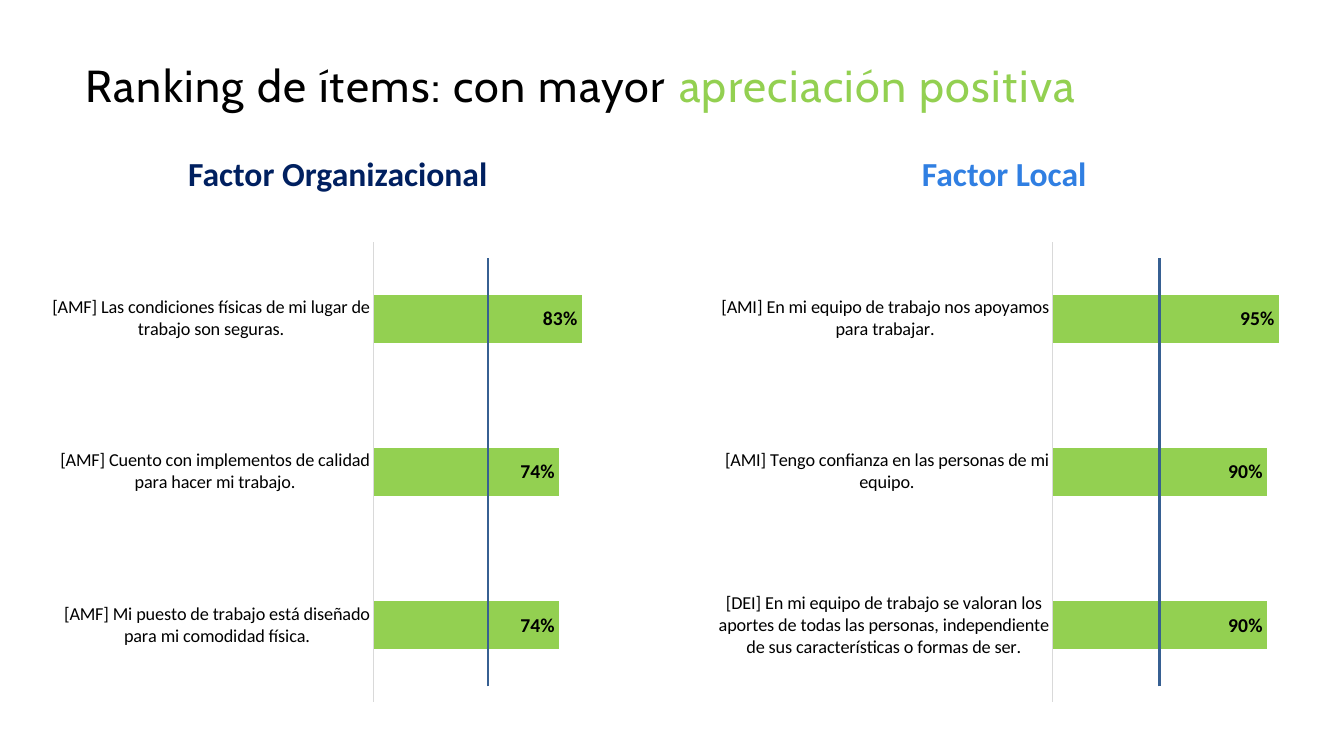
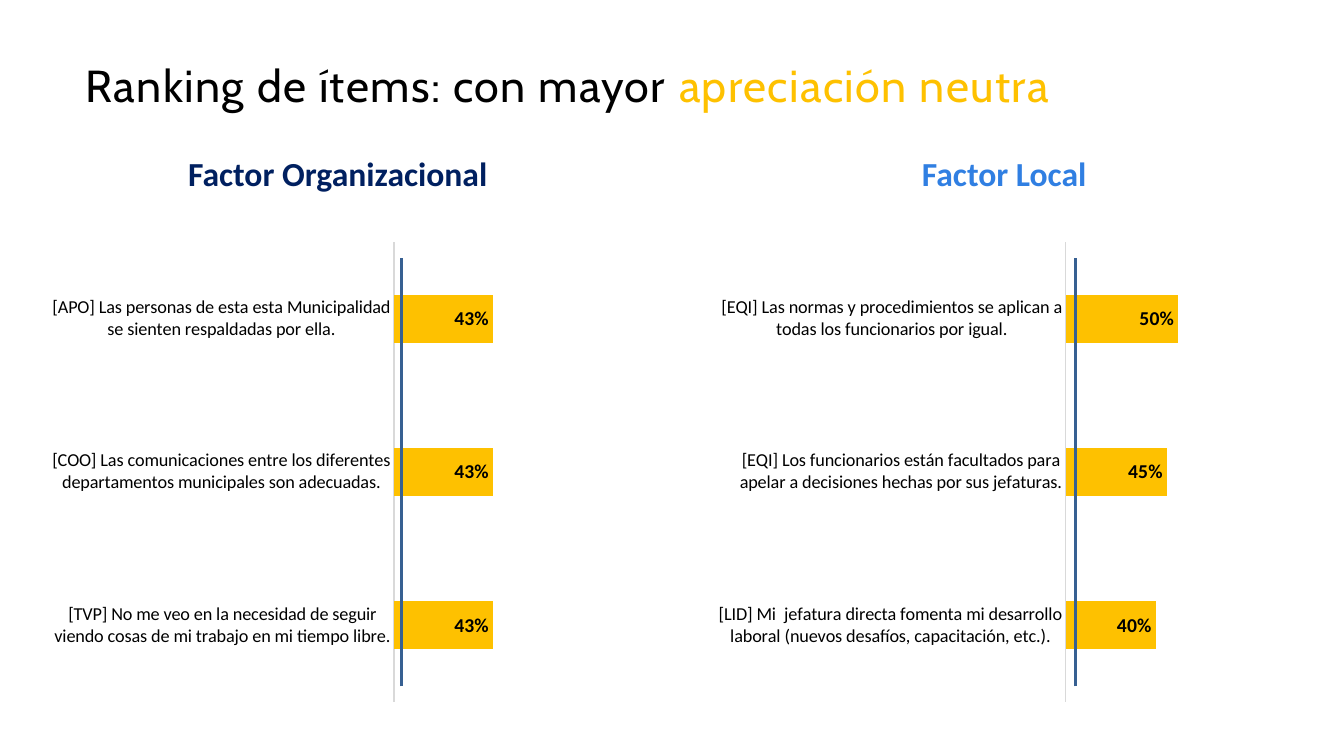
from dataclasses import dataclass

from lxml.etree import SubElement
from pptx import Presentation
from pptx.chart.data import CategoryChartData
from pptx.dml.color import RGBColor
from pptx.enum.chart import XL_CHART_TYPE, XL_LABEL_POSITION, XL_TICK_MARK
from pptx.enum.shapes import MSO_CONNECTOR
from pptx.enum.text import MSO_ANCHOR, MSO_AUTO_SIZE, PP_ALIGN
from pptx.oxml.ns import qn
from pptx.util import Inches, Pt

# Shared style
BLACK = RGBColor(0x00, 0x00, 0x00)
WHITE = RGBColor(0xFF, 0xFF, 0xFF)
NAVY = RGBColor(0x00, 0x20, 0x60)
BLUE = RGBColor(0x30, 0x7F, 0xE2)
STEEL = RGBColor(0x37, 0x60, 0x92)
AXIS_GREY = RGBColor(0xD9, 0xD9, 0xD9)
GREEN = RGBColor(0x93, 0xD0, 0x51)
AMBER = RGBColor(0xFE, 0xC1, 0x00)
TITLE_FONT, BODY_FONT = "Cabin", "Calibri"

# Shared geometry, in inches
SLIDE_WIDTH, SLIDE_HEIGHT = 13.33, 7.5
PANEL_LEFTS = (0.4, 7.01)
PANEL_TOP, PANEL_WIDTH = 1.58, 5.91
HEADING_INDENT, HEADING_WIDTH, HEADING_HEIGHT = 0.43, 5.04, 0.33
CHART_DROP, CHART_HEIGHT = 0.73, 4.75
MARKER_INSET = 0.25
PANEL_HEADINGS = (("Factor Organizacional", NAVY), ("Factor Local", BLUE))


@dataclass
class Ranking:
    """Items from bottom to top, and the marker's distance from the chart's left."""
    items: dict
    marker: float


def style_font(font, name, size, color, bold=False):
    font.name, font.size, font.bold = name, Pt(size), bold
    font.color.rgb = color


def add_title(page, lead, accent, color):
    title = page.shapes.title
    title.left, title.top = Inches(0.85), Inches(0.34)
    title.width, title.height = Inches(11.78), Inches(1.06)
    frame = title.text_frame
    frame.auto_size = MSO_AUTO_SIZE.NONE
    frame.vertical_anchor = MSO_ANCHOR.MIDDLE
    frame.margin_left = frame.margin_right = 0
    frame.margin_top = frame.margin_bottom = 0
    para = frame.paragraphs[0]
    para.alignment, para.line_spacing = PP_ALIGN.LEFT, 0.9
    for text, span_color in ((lead, BLACK), (accent, color)):
        span = para.add_run()
        span.text = text
        style_font(span.font, TITLE_FONT, 32, span_color)
        span.font._element.set("spc", "100")  # 1 pt letter spacing


def add_heading(page, left, top, text, color):
    box = page.shapes.add_textbox(Inches(left), Inches(top),
                                  Inches(HEADING_WIDTH), Inches(HEADING_HEIGHT))
    frame = box.text_frame
    frame.word_wrap = True
    frame.vertical_anchor = MSO_ANCHOR.MIDDLE
    para = frame.paragraphs[0]
    para.text = text
    para.alignment, para.line_spacing = PP_ALIGN.CENTER, 0.9
    style_font(para.font, BODY_FONT, 24, color, bold=True)


def add_bar_chart(page, left, top, items, color):
    data = CategoryChartData(number_format="0%")
    data.categories = list(items)
    data.add_series("Series 1", list(items.values()))
    chart = page.shapes.add_chart(
        XL_CHART_TYPE.BAR_CLUSTERED, Inches(left), Inches(top),
        Inches(PANEL_WIDTH), Inches(CHART_HEIGHT), data).chart
    chart.has_legend = chart.has_title = False
    style_font(chart.font, BODY_FONT, 10, WHITE)

    # Axes
    category_axis, value_axis = chart.category_axis, chart.value_axis
    category_axis.major_tick_mark = category_axis.minor_tick_mark = XL_TICK_MARK.NONE
    category_axis.has_major_gridlines = False
    category_axis.format.line.color.rgb = AXIS_GREY
    category_axis.format.line.width = Pt(0.75)
    style_font(category_axis.tick_labels.font, BODY_FONT, 13, BLACK)
    value_axis.minimum_scale, value_axis.maximum_scale = 0, 1
    value_axis.has_major_gridlines = False
    value_axis.visible = False

    # Bars and their labels
    plot = chart.plots[0]
    plot.gap_width, plot.vary_by_categories = 219, False
    series = plot.series[0]
    series.format.fill.solid()
    series.format.fill.fore_color.rgb = color
    labels = series.data_labels
    labels.show_value = True
    labels.position = XL_LABEL_POSITION.INSIDE_END
    labels.number_format, labels.number_format_is_linked = "0%", False
    style_font(labels.font, BODY_FONT, 14, BLACK, bold=True)


def add_marker(page, x, top, bottom):
    marker = page.shapes.add_connector(MSO_CONNECTOR.STRAIGHT, Inches(x),
                                       Inches(bottom), Inches(x), Inches(top))
    marker.line.color.rgb = STEEL
    marker.line.width = Pt(2)
    SubElement(marker._element.spPr, qn("a:effectLst"))


def add_panel(page, left, top, heading, ranking, color):
    """One factor: heading, bar chart and vertical reference line."""
    add_heading(page, left + HEADING_INDENT, top, *heading)
    chart_top = top + CHART_DROP
    add_bar_chart(page, left, chart_top, ranking.items, color)
    add_marker(page, left + ranking.marker, chart_top + MARKER_INSET,
               chart_top + CHART_HEIGHT - MARKER_INSET)


def add_ranking_slide(deck, accent, color, rankings):
    page = deck.slides.add_slide(deck.slide_layouts.get_by_name("Title Only"))
    add_title(page, "Ranking de ítems: con mayor ", accent, color)
    for left, heading, ranking in zip(PANEL_LEFTS, PANEL_HEADINGS, rankings):
        add_panel(page, left, PANEL_TOP, heading, ranking, color)


POSITIVE = (
    Ranking({
        "[AMF] Mi puesto de trabajo está diseñado para mi comodidad física.": 0.74,
        "[AMF] Cuento con implementos de calidad para hacer mi trabajo.": 0.74,
        "[AMF] Las condiciones físicas de mi lugar de trabajo son seguras.": 0.83,
    }, marker=4.44),
    Ranking({
        "[DEI] En mi equipo de trabajo se valoran los aportes de todas las personas, "
        "independiente de sus características o formas de ser.": 0.90,
        "[AMI] Tengo confianza en las personas de mi equipo.": 0.90,
        "[AMI] En mi equipo de trabajo nos apoyamos para trabajar.": 0.95,
    }, marker=4.49),
)

NEUTRAL = (
    Ranking({
        "[TVP] No me veo en la necesidad de seguir viendo cosas de mi trabajo "
        "en mi tiempo libre.": 0.43,
        "[COO] Las comunicaciones entre los diferentes departamentos municipales "
        "son adecuadas.": 0.43,
        "[APO] Las personas de esta esta Municipalidad se sienten respaldadas "
        "por ella.": 0.43,
    }, marker=3.58),
    Ranking({
        "[LID] Mi  jefatura directa fomenta mi desarrollo laboral "
        "(nuevos desafíos, capacitación, etc.).": 0.40,
        "[EQI] Los funcionarios están facultados para apelar a decisiones "
        "hechas por sus jefaturas.": 0.45,
        "[EQI] Las normas y procedimientos se aplican a todas los funcionarios "
        "por igual.": 0.50,
    }, marker=3.66),
)


def main():
    deck = Presentation()
    deck.slide_width, deck.slide_height = Inches(SLIDE_WIDTH), Inches(SLIDE_HEIGHT)
    add_ranking_slide(deck, "apreciación positiva", GREEN, POSITIVE)
    add_ranking_slide(deck, "apreciación neutra", AMBER, NEUTRAL)
    deck.save("out.pptx")


if __name__ == "__main__":
    main()
